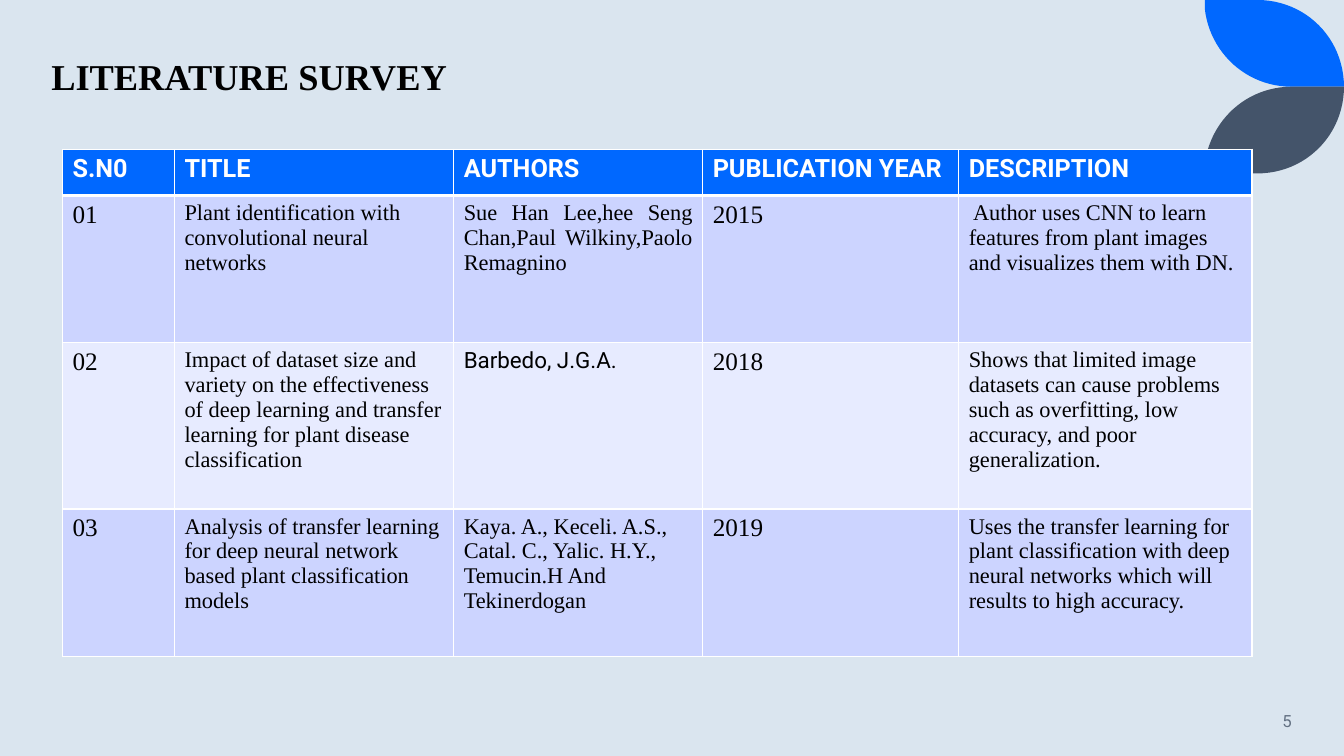
from lxml.etree import SubElement
from pptx import Presentation
from pptx.dml.color import RGBColor
from pptx.enum.text import MSO_ANCHOR as Anchor, PP_ALIGN as Align
from pptx.oxml.ns import qn
from pptx.util import Inches, Pt

WIDTH, HEIGHT = Inches(13.33), Inches(7.5)
SERIF, SANS = "Times New Roman", "Roboto"
BLUE, SLATE, WHITE, BLACK = "0068FF", "44546A", "FFFFFF", "000000"
BANDS = ["CCD4FF", "E7EBFF"]
COLUMNS = [8.33, 20.78, 18.53, 19.05, 21.83]
ROWS = [6.13, 19.47, 22, 19.47]
BODY_SIZES = [18, 16, 16, 18, 16]
HEADINGS = ["S.N0", "TITLE", "AUTHORS", "PUBLICATION YEAR", "DESCRIPTION"]
PAPERS = [
    ["01", "Plant identification with convolutional neural networks",
     "Sue Han Lee,hee Seng Chan,Paul Wilkiny,Paolo Remagnino", "2015",
     " Author uses CNN to learn features from plant images and visualizes them with DN."],
    ["02", "Impact of dataset size and variety on the effectiveness of deep learning "
     "and transfer learning for plant disease classification",
     "Barbedo, J.G.A.", "2018",
     "Shows that limited image datasets can cause problems such as overfitting, "
     "low accuracy, and poor generalization."],
    ["03", "Analysis of transfer learning for deep neural network based plant "
     "classification models",
     "Kaya. A., Keceli. A.S., Catal. C., Yalic. H.Y., Temucin.H And Tekinerdogan", "2019",
     "Uses the transfer learning for plant classification with deep neural networks "
     "which will results to high accuracy."],
]
LEAF_TOP = [(89.65, 0), (93.55, 0), (97.15, 0), (100, 5.07), (100, 11.47)]
LEAF_BOTTOM = [(96.1, 11.47), (92.72, 11.47), (90.02, 6.93), (89.65, 1.2)]
LEAF_HEIGHT = 11.47


def across(percent):
    return round(WIDTH * percent / 100)


def down(percent):
    return round(HEIGHT * percent / 100)


def color(code):
    return RGBColor.from_string(code)


def paint(fill, code):
    fill.solid()
    fill.fore_color.rgb = color(code)


def write(frame, text, size, font, code, bold=False, align=Align.LEFT):
    para = frame.paragraphs[0]
    para.alignment = align
    span = para.add_run()
    span.text = text
    span.font.size = Pt(size)
    span.font.name = font
    span.font.bold = bold
    span.font.color.rgb = color(code)
    return para


def add_label(page, left, top, width, height, anchor, *style, **options):
    box = page.shapes.add_textbox(across(left), down(top), across(width), down(height))
    box.text_frame.word_wrap = True
    box.text_frame.vertical_anchor = anchor
    return write(box.text_frame, *style, **options)


def curve(points, steps=24):
    weights = (1, 3, 3, 1)
    for step in range(1, steps + 1):
        t = step / steps
        yield tuple(
            sum(w * (1 - t) ** (3 - i) * t ** i * point[axis]
                for i, (w, point) in enumerate(zip(weights, points)))
            for axis in (0, 1))


def add_leaf(page, code, flipped=False):
    outline = [*LEAF_TOP[:2], *curve(LEAF_TOP[1:]), LEAF_BOTTOM[0], *curve(LEAF_BOTTOM)]
    points = [(across(x), down(2 * LEAF_HEIGHT - y if flipped else y)) for x, y in outline]
    builder = page.shapes.build_freeform(*points[0])
    builder.add_line_segments(points[1:], close=True)
    leaf = builder.convert_to_shape()
    leaf.shadow.inherit = False
    paint(leaf.fill, code)
    leaf.line.fill.background()


def add_borders(cell, top=1, bottom=1):
    properties = cell._tc.get_or_add_tcPr()
    for side, points in (("L", 1), ("R", 1), ("T", top), ("B", bottom)):
        line = SubElement(properties, qn(f"a:ln{side}"), w=str(Pt(points)))
        SubElement(SubElement(line, qn("a:solidFill")), qn("a:srgbClr"), val=WHITE)


def fill_heading(cell, text):
    add_borders(cell, bottom=3)
    paint(cell.fill, BLUE)
    write(cell.text_frame, text, 18, SANS, WHITE, bold=True)


def fill_body(cell, text, row, column):
    add_borders(cell, top=3 if row == 0 else 1)
    paint(cell.fill, BANDS[row % 2])
    font = SANS if (row, column) == (1, 2) else SERIF
    align = Align.JUSTIFY if (row, column) == (0, 2) else Align.LEFT
    write(cell.text_frame, text, BODY_SIZES[column], font, BLACK, align=align)


def add_survey(page, left, top):
    table = page.shapes.add_table(
        len(ROWS), len(COLUMNS), across(left), down(top),
        across(sum(COLUMNS)), down(sum(ROWS))).table
    table.first_row = table.horz_banding = False
    for column, share in zip(table.columns, COLUMNS):
        column.width = across(share)
    for row, share in zip(table.rows, ROWS):
        row.height = down(share)
    for column, heading in enumerate(HEADINGS):
        fill_heading(table.cell(0, column), heading)
    for row, paper in enumerate(PAPERS):
        for column, text in enumerate(paper):
            fill_body(table.cell(row + 1, column), text, row, column)


def main():
    deck = Presentation()
    deck.slide_width, deck.slide_height = WIDTH, HEIGHT
    page = deck.slides.add_slide(deck.slide_layouts[6])
    paint(page.background.fill, "DAE5EF")
    add_leaf(page, BLUE)
    add_leaf(page, SLATE, flipped=True)
    title = add_label(page, 3.08, 2, 80.2, 11.73, Anchor.BOTTOM,
                      "LITERATURE SURVEY", 26, SERIF, BLACK, bold=True)
    title.line_spacing = 0.9
    add_label(page, 83.27, 92.67, 13.58, 5.33, Anchor.MIDDLE,
              "5", 12, SANS, "637183", align=Align.RIGHT)
    add_survey(page, 4.65, 19.73)
    deck.save("out.pptx")


if __name__ == "__main__":
    main()
